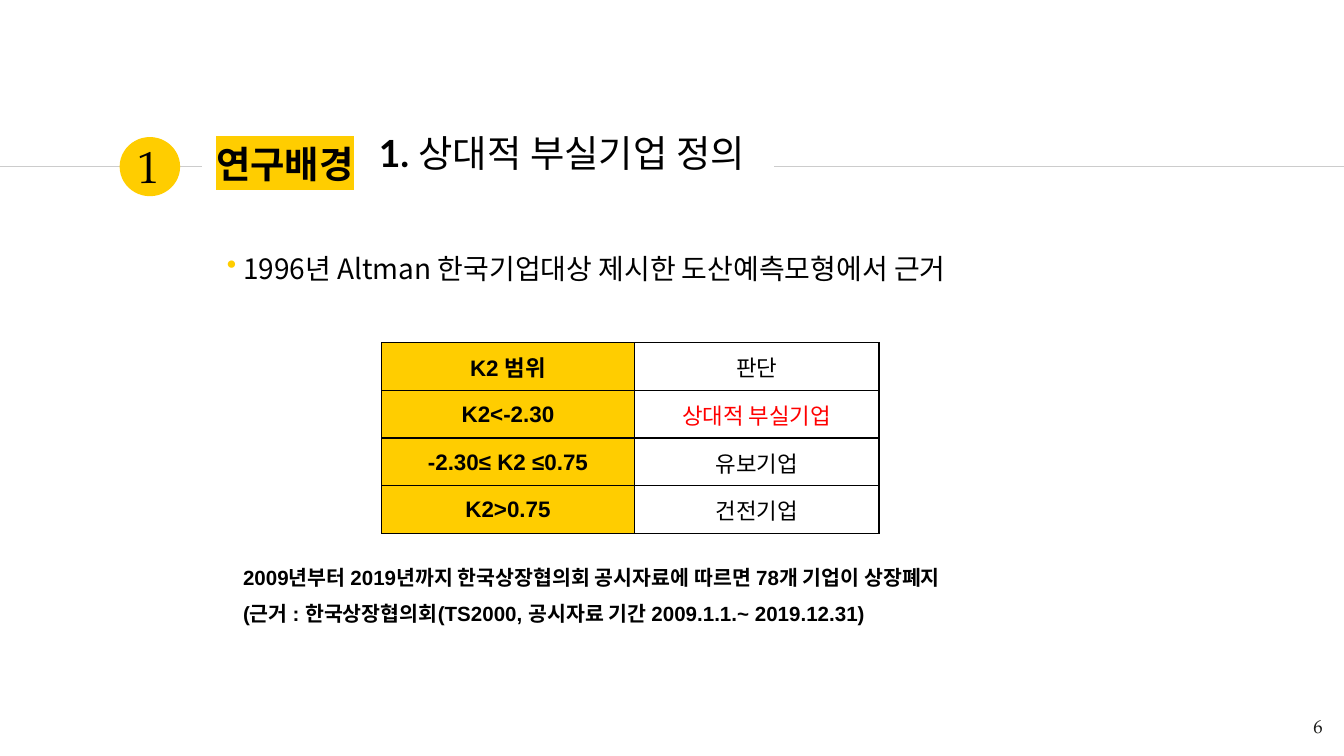
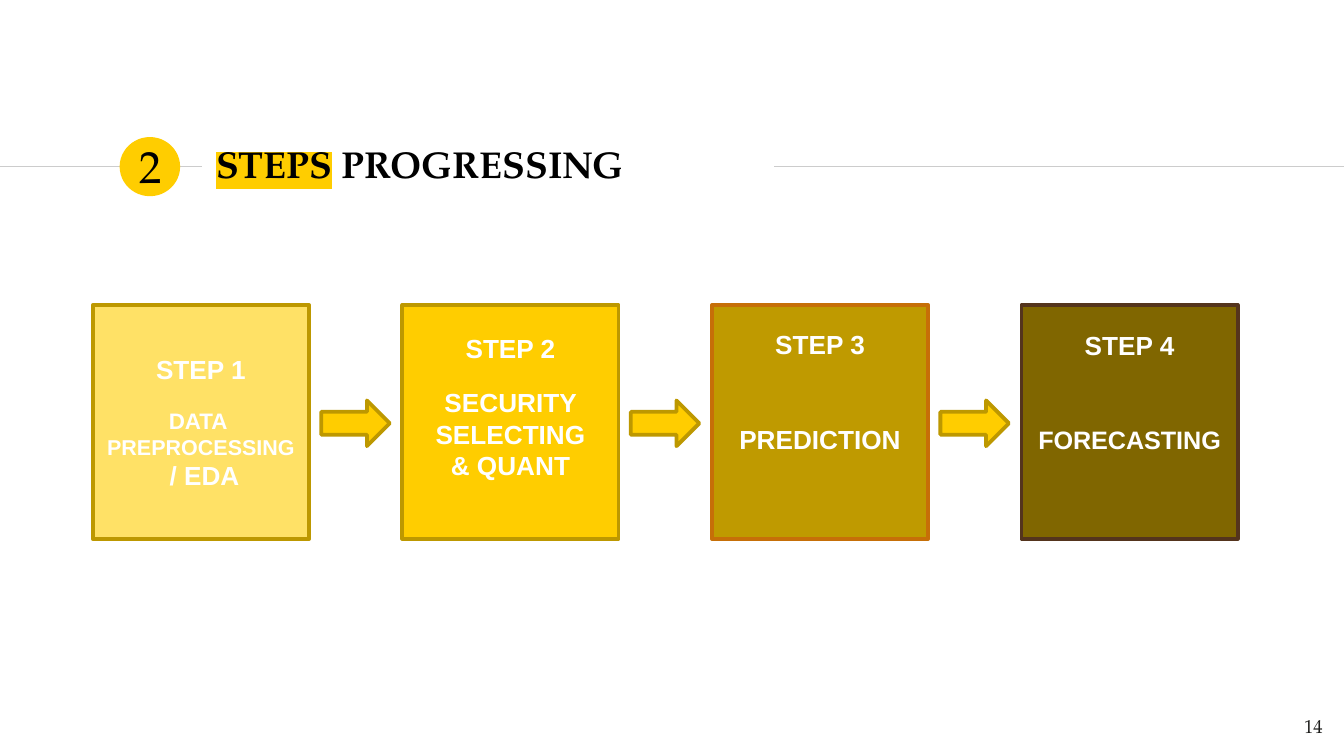
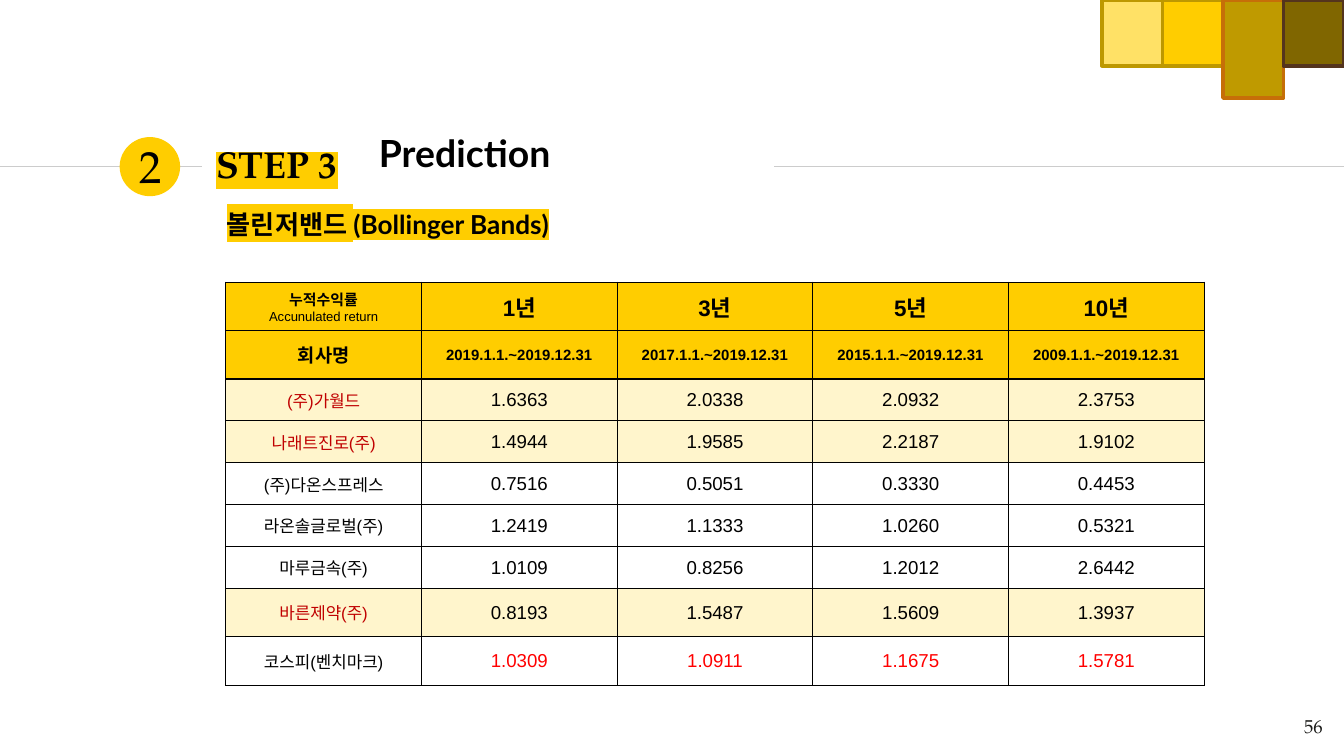
"""Build three slides on distressed-company definition, process steps and band returns."""
from dataclasses import dataclass

from lxml.etree import SubElement
from pptx import Presentation
from pptx.dml.color import RGBColor
from pptx.enum.shapes import MSO_CONNECTOR, MSO_SHAPE
from pptx.enum.text import MSO_ANCHOR, PP_ALIGN
from pptx.oxml.ns import qn
from pptx.util import Inches, Pt

YELLOW = RGBColor(0xFF, 0xCD, 0x00)
PALE = RGBColor(0xFF, 0xF5, 0xCC)
LIGHT = RGBColor(0xFF, 0xE1, 0x66)
GOLD = RGBColor(0xBF, 0x9A, 0x00)
OLIVE = RGBColor(0x80, 0x66, 0x00)
EDGE = RGBColor(0xBD, 0x98, 0x00)
ORANGE = RGBColor(0xC6, 0x6F, 0x08)
BROWN = RGBColor(0x54, 0x34, 0x1D)
RULE = RGBColor(0xCC, 0xCC, 0xCC)
INK = RGBColor(0x1D, 0x1D, 0x1B)
BLACK = RGBColor(0, 0, 0)
WHITE = RGBColor(0xFF, 0xFF, 0xFF)
RED = RGBColor(0xFF, 0, 0)
DARK_RED = RGBColor(0xC0, 0, 0)

SERIF = "TeX Gyre Pagella"
HEADING = "Lato"
SANS = "Arial"
KOREAN = "Noto Sans CJK KR"


@dataclass
class Span:
    text: str
    size: float
    font: str = SANS
    color: RGBColor = BLACK
    bold: bool = False
    highlight: bool = False


@dataclass
class Para:
    spans: list
    align: PP_ALIGN = PP_ALIGN.LEFT
    before: float = 0
    spacing: float = 1
    margin: float = 0
    hanging: float = 0
    bullet: str = ""


DEFINITION_HEADING = [Para([Span("1. ", 20, HEADING, bold=True),
                            Span("상대적 부실기업 정의", 20, HEADING)], margin=0.08)]
DEFINITION_BODY = [
    Para([Span("1996년 Altman 한국기업대상 제시한 도산예측모형에서 근거", 15, KOREAN)],
         margin=0.2, hanging=0.12, bullet="•"),
    Para([Span("2009년부터 2019년까지 한국상장협의회 공시자료에 따르면 78개 기업이 상장폐지",
               11, bold=True)], before=150, margin=0.2),
    Para([Span("(근거 : 한국상장협의회(TS2000, 공시자료 기간 2009.1.1.~ 2019.12.31)",
               11, bold=True)], before=6, margin=0.2),
]
K2_RANGES = [
    ("K2 범위", "판단"),
    ("K2<-2.30", "상대적 부실기업"),
    ("-2.30≤ K2 ≤0.75", "유보기업"),
    ("K2>0.75", "건전기업"),
]
DISTRESSED = "상대적 부실기업"

STEP_COLORS = [(LIGHT, EDGE), (YELLOW, EDGE), (GOLD, ORANGE), (OLIVE, BROWN)]
STEPS = [
    ("STEP 1", [("DATA ", 12), ("PREPROCESSING", 11.5), (" / EDA", 14)], 12, 0.05),
    ("STEP 2", [("SECURITY SELECTING", 14), ("& QUANT", 14)], 12.4, 0.28),
    ("STEP 3", [("PREDICTION", 14)], 34, 0.5),
    ("STEP 4", [("FORECASTING", 13.5)], 34, 0.5),
]

BAND_HEADING = [Para([Span("Prediction", 20, HEADING, bold=True)], margin=0.08)]
BAND_BODY = [Para([Span("볼린저밴드 (Bollinger Bands)", 14, HEADING,
                        bold=True, highlight=True)], margin=0.08)]
PERIODS = [
    ("1년", "2019.1.1.~2019.12.31"),
    ("3년", "2017.1.1.~2019.12.31"),
    ("5년", "2015.1.1.~2019.12.31"),
    ("10년", "2009.1.1.~2019.12.31"),
]
RETURNS = [
    ("(주)가월드", "1.6363", "2.0338", "2.0932", "2.3753"),
    ("나래트진로(주)", "1.4944", "1.9585", "2.2187", "1.9102"),
    ("(주)다온스프레스", "0.7516", "0.5051", "0.3330", "0.4453"),
    ("라온솔글로벌(주)", "1.2419", "1.1333", "1.0260", "0.5321"),
    ("마루금속(주)", "1.0109", "0.8256", "1.2012", "2.6442"),
    ("바른제약(주)", "0.8193", "1.5487", "1.5609", "1.3937"),
    ("코스피(벤치마크)", "1.0309", "1.0911", "1.1675", "1.5781"),
]
HIGHLIGHTED_COMPANIES = {0, 1, 5}
BENCHMARK = len(RETURNS) - 1


def write(frame, paras):
    """Fill a text frame with paragraphs, run by run."""
    for index, para in enumerate(paras):
        paragraph = frame.paragraphs[0] if index == 0 else frame.add_paragraph()
        paragraph.alignment = para.align
        if para.spacing != 1:
            paragraph.line_spacing = para.spacing
        paragraph.space_before = Pt(para.before)
        properties = paragraph._p.get_or_add_pPr()
        properties.set("marL", str(Inches(para.margin)))
        properties.set("indent", str(-Inches(para.hanging)))
        if para.bullet:
            color = SubElement(properties, qn("a:buClr"))
            SubElement(color, qn("a:srgbClr"), val=str(YELLOW))
            SubElement(properties, qn("a:buChar"), char=para.bullet)
        for span in para.spans:
            run = paragraph.add_run()
            run.text = span.text
            run.font.name = span.font
            run.font.size = Pt(span.size)
            run.font.bold = span.bold
            run.font.color.rgb = span.color
            if span.highlight:
                add_highlight(run)


def add_highlight(run):
    """Mark a run in yellow."""
    properties = run._r.get_or_add_rPr()
    mark = SubElement(properties, qn("a:highlight"))
    SubElement(mark, qn("a:srgbClr"), val=str(YELLOW))
    properties.find(qn("a:solidFill")).addnext(mark)


def set_margins(frame, left, top, right, bottom):
    """Set the four insets of a text frame or a cell in inches."""
    frame.margin_left, frame.margin_top = Inches(left), Inches(top)
    frame.margin_right, frame.margin_bottom = Inches(right), Inches(bottom)


def add_text(page, left, top, width, height, paras, anchor=MSO_ANCHOR.TOP, inset=0.1):
    """Add a wrapping text box."""
    box = page.shapes.add_textbox(Inches(left), Inches(top), Inches(width), Inches(height))
    frame = box.text_frame
    frame.word_wrap = True
    frame.vertical_anchor = anchor
    set_margins(frame, inset, inset, inset, inset)
    write(frame, paras)


def add_block(page, kind, left, top, width, height, fill, edge=None):
    """Add a flat preset shape."""
    block = page.shapes.add_shape(kind, Inches(left), Inches(top), Inches(width), Inches(height))
    block.shadow.inherit = False
    block.fill.solid()
    block.fill.fore_color.rgb = fill
    if edge is None:
        block.line.fill.background()
    else:
        block.line.color.rgb = edge
        block.line.width = Pt(2)
    return block


def add_rule(page, start, end):
    """Add one stretch of the grey title rule."""
    rule = page.shapes.add_connector(MSO_CONNECTOR.STRAIGHT, Inches(start), Inches(1.24),
                                     Inches(end), Inches(1.24))
    rule.line.color.rgb = RULE
    rule.line.width = Pt(0.75)
    SubElement(rule._element.spPr, qn("a:effectLst"))


def add_page(deck, chapter, title, number, title_width=4.24, chapter_left=0.96):
    """Add a slide with its title band and page number."""
    page = deck.slides.add_slide(deck.slide_layouts[6])
    add_rule(page, 0, 1.5)
    add_block(page, MSO_SHAPE.OVAL, 0.89, 1.02, 0.45, 0.44, YELLOW)
    add_rule(page, 5.76, 10)
    add_text(page, chapter_left, 0.98, 0.33, 0.5,
             [Para([Span(chapter, 24, SERIF)], PP_ALIGN.CENTER)], inset=0.05)
    add_text(page, 1.51, 0.98, title_width, 0.48, [Para(title)], MSO_ANCHOR.MIDDLE)
    add_text(page, 9.34, 5.19, 0.6, 0.43,
             [Para([Span(number, 10, SERIF, INK)], PP_ALIGN.RIGHT)], MSO_ANCHOR.MIDDLE)
    return page


def title_span(text, highlight=True):
    """Return a run in the title style."""
    return Span(text, 20, SERIF, bold=True, highlight=highlight)


def cell_para(text, size, color=BLACK, bold=False, spacing=1.03):
    """Return a centred table paragraph."""
    return Para([Span(text, size, SANS, color, bold)], PP_ALIGN.CENTER, spacing=spacing)


def add_grid(page, left, top, widths, heights, rows):
    """Add a bordered table from rows of (paragraphs, fill) pairs."""
    table = page.shapes.add_table(len(heights), len(widths), Inches(left), Inches(top),
                                  Inches(sum(widths)), Inches(sum(heights))).table
    table.first_row = table.horz_banding = False
    for column, width in zip(table.columns, widths):
        column.width = Inches(width)
    for table_row, height, row in zip(table.rows, heights, rows):
        table_row.height = Inches(height)
        for cell, (paras, fill) in zip(table_row.cells, row):
            cell.vertical_anchor = MSO_ANCHOR.MIDDLE
            set_margins(cell, 0.07, 0.02, 0.07, 0.02)
            write(cell.text_frame, paras)
            properties = cell._tc.get_or_add_tcPr()
            for side in ("lnL", "lnR", "lnT", "lnB"):
                border = SubElement(properties, qn(f"a:{side}"), w=str(Pt(0.75)))
                paint = SubElement(border, qn("a:solidFill"))
                SubElement(paint, qn("a:srgbClr"), val=str(BLACK))
            if fill is None:
                cell.fill.background()
            else:
                cell.fill.solid()
                cell.fill.fore_color.rgb = fill


def build_definition(deck):
    """Build the slide that defines distressed companies."""
    page = add_page(deck, "1", [title_span("연구배경")], "6", 1.33, 0.94)
    add_text(page, 2.64, 0.87, 3.69, 0.59, DEFINITION_HEADING)
    add_text(page, 1.51, 1.77, 7.45, 3.4, DEFINITION_BODY)
    rows = [[([cell_para(limit, 12, bold=True)], YELLOW),
             ([cell_para(verdict, 12, RED if verdict == DISTRESSED else BLACK)], None)]
            for limit, verdict in K2_RANGES]
    add_grid(page, 2.84, 2.55, [1.88, 1.82], [1.42 / len(rows)] * len(rows), rows)


def build_steps(deck):
    """Build the slide with four steps joined by arrows."""
    page = add_page(deck, "2", [title_span("STEPS"), title_span(" PROGRESSING", False)], "14")
    first, last = 0.69, 7.6
    pitch = (last - first) / (len(STEPS) - 1)
    for index, (name, lines, gap, bottom) in enumerate(STEPS):
        left = first + index * pitch
        block = add_block(page, MSO_SHAPE.RECTANGLE, left, 2.27, 1.61, 1.74, *STEP_COLORS[index])
        frame = block.text_frame
        frame.word_wrap = True
        frame.vertical_anchor = MSO_ANCHOR.MIDDLE
        set_margins(frame, 0.1, 0.05, 0.1, bottom)
        paras = [Para([Span(text, size, SANS, WHITE, True)], PP_ALIGN.CENTER)
                 for text, size in [(name, 14), *lines]]
        paras[1].before = gap
        write(frame, paras)
        if index < len(STEPS) - 1:
            add_block(page, MSO_SHAPE.RIGHT_ARROW, left + 1.7, 2.98, 0.51, 0.34, YELLOW, EDGE)


def build_bands(deck):
    """Build the slide with the returns table and step tabs."""
    page = add_page(deck, "2", [title_span("STEP 3")], "56")
    add_text(page, 2.64, 0.87, 5.25, 0.59, BAND_HEADING)
    current_step = 2
    for index, (fill, edge) in enumerate(STEP_COLORS):
        height = 0.73 if index == current_step else 0.49
        add_block(page, MSO_SHAPE.RECTANGLE, 8.2 + index * 0.45, 0, 0.45, height, fill, edge)
    add_text(page, 1.51, 1.45, 7.45, 3.4, BAND_BODY)

    corner = [cell_para("누적수익률", 8, bold=True, spacing=1),
              cell_para("Accunulated return", 7, spacing=1)]
    rows = [
        [(corner, YELLOW)] + [([cell_para(years, 12, bold=True)], YELLOW) for years, _ in PERIODS],
        [([cell_para("회사명", 10, bold=True, spacing=1)], YELLOW)]
        + [([cell_para(dates, 8, bold=True)], YELLOW) for _, dates in PERIODS],
    ]
    for index, (company, *values) in enumerate(RETURNS):
        chosen = index in HIGHLIGHTED_COMPANIES
        fill = PALE if chosen else None
        name = cell_para(company, 9, DARK_RED if chosen else BLACK, spacing=1)
        value_color = RED if index == BENCHMARK else BLACK
        rows.append([([name], fill)]
                    + [([cell_para(value, 10, value_color)], fill) for value in values])
    tall = 0.36
    short = (3 - 4 * tall) / 5
    heights = [tall] * 2 + [short] * 5 + [tall] * 2
    add_grid(page, 1.68, 2.1, [7.28 / 5] * 5, heights, rows)


def main():
    """Create and save the deck."""
    deck = Presentation()
    deck.slide_width, deck.slide_height = Inches(10), Inches(10 * 9 / 16)
    build_definition(deck)
    build_steps(deck)
    build_bands(deck)
    deck.save("out.pptx")


if __name__ == "__main__":
    main()
